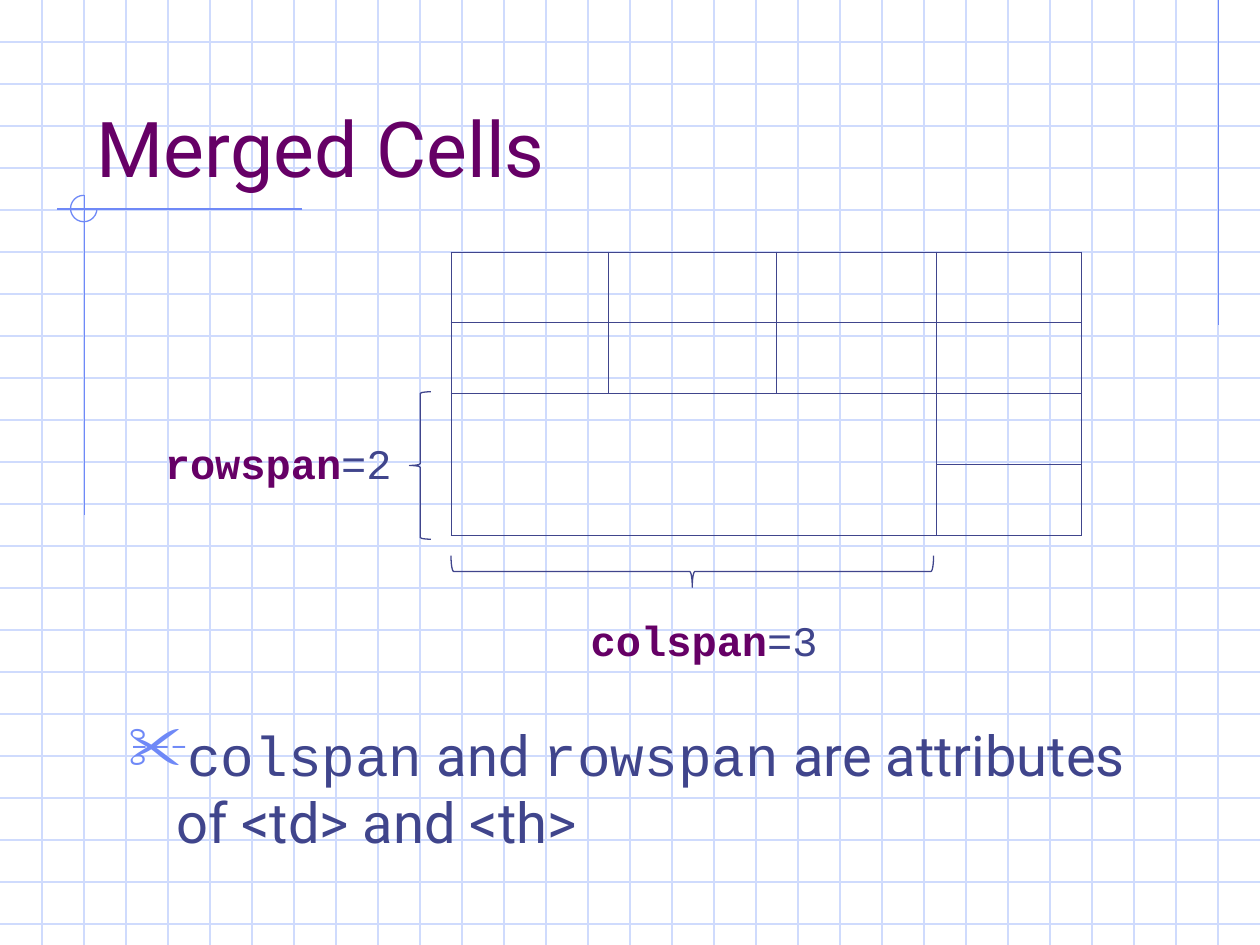
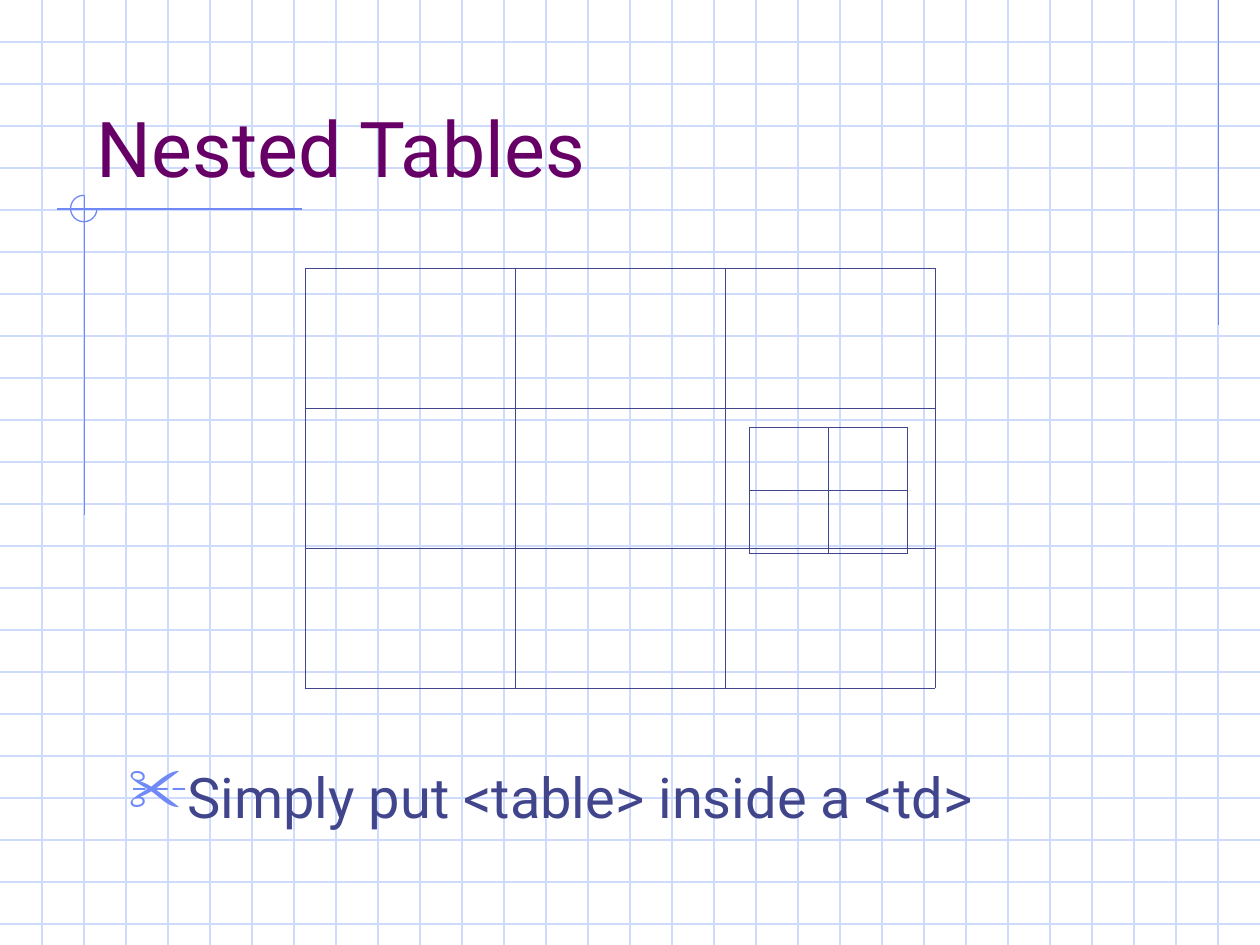
"""Build two slides on merged cells and nested tables."""
import pptx
import pptx.dml.color
import pptx.enum.shapes
import pptx.enum.text
import pptx.oxml.ns
import pptx.util
from lxml import etree

Inches = pptx.util.Inches
Pt = pptx.util.Pt
qn = pptx.oxml.ns.qn

WIDTH, HEIGHT = 10, 7.5
GRID_STEP = 1 / 3
GRID, ACCENT, INK, TITLE = "CFDBFD", "6F89F7", "40458C", "660066"
SANS, MONO = "Roboto", "Courier New"


def color(hex_code):
    """Turn a hex string into a colour."""
    return pptx.dml.color.RGBColor.from_string(hex_code)


def add_line(slide, start, end, hex_code):
    """Draw a thin straight line between two points."""
    points = [Inches(value) for value in (*start, *end)]
    line = slide.shapes.add_connector(pptx.enum.shapes.MSO_CONNECTOR.STRAIGHT, *points)
    line.line.color.rgb = color(hex_code)
    line.line.width = Pt(0.75)
    etree.SubElement(line._element.spPr, qn("a:effectLst"))


def add_outline(slide, preset, box, hex_code):
    """Add an unfilled preset shape with a thin outline."""
    shape = slide.shapes.add_shape(preset, *map(Inches, box))
    shape.shadow.inherit = False
    shape.fill.background()
    shape.line.color.rgb = color(hex_code)
    shape.line.width = Pt(0.75)
    return shape


def add_text(slide, box, runs, size, wrap=True):
    """Add a text box from (text, font, colour, bold) runs."""
    frame = slide.shapes.add_textbox(*map(Inches, box)).text_frame
    frame.word_wrap = wrap
    paragraph = frame.paragraphs[0]
    for text, font_name, hex_code, bold in runs:
        run = paragraph.add_run()
        run.text = text
        run.font.name = font_name
        run.font.size = Pt(size)
        run.font.bold = bold
        run.font.color.rgb = color(hex_code)
    return frame


def add_title(slide, text):
    """Add the slide title."""
    frame = add_text(slide, (0.67, 0.33, 8.5, 1.25), [(text, SANS, TITLE, False)], 44)
    frame.vertical_anchor = pptx.enum.text.MSO_ANCHOR.BOTTOM


def add_bullet(slide, top, height, parts):
    """Add a scissors bullet made of (text, font) parts."""
    runs = [(text, font_name, INK, False) for text, font_name in parts]
    paragraph = add_text(slide, (0.92, top, 8.5, height), runs, 32).paragraphs[0]
    paragraph.space_before = Pt(8)
    properties = paragraph._p.get_or_add_pPr()
    properties.set("marL", str(Inches(0.38)))
    properties.set("indent", str(Inches(-0.38)))
    bullet_color = etree.SubElement(properties, qn("a:buClr"))
    etree.SubElement(bullet_color, qn("a:srgbClr"), val=ACCENT)
    etree.SubElement(properties, qn("a:buSzPct"), val="110000")
    etree.SubElement(properties, qn("a:buChar"), char="✂")


def add_span_label(slide, left, top, attribute, value):
    """Add an attribute and its value as a code label."""
    runs = [(attribute, MONO, TITLE, True), (f"={value}", MONO, INK, False)]
    frame = add_text(slide, (left, top, 2, 0.5), runs, 24, wrap=False)
    frame.auto_size = pptx.enum.text.MSO_AUTO_SIZE.SHAPE_TO_FIT_TEXT


def style_cell(cell):
    """Give an empty cell thin borders, no fill and its text size."""
    properties = cell._tc.get_or_add_tcPr()
    for side in ("lnL", "lnR", "lnT", "lnB"):
        border = etree.SubElement(properties, qn(f"a:{side}"), w=str(Pt(0.45)))
        fill = etree.SubElement(border, qn("a:solidFill"))
        etree.SubElement(fill, qn("a:srgbClr"), val=INK)
    cell.fill.background()
    paragraph = cell.text_frame.paragraphs[0]._p
    end = etree.SubElement(paragraph, qn("a:endParaRPr"), sz=str(2400))
    etree.SubElement(end, qn("a:latin"), typeface=SANS)


def add_empty_table(slide, left, top, column_widths, row_heights):
    """Add a table of empty outlined cells."""
    box = (left, top, sum(column_widths), sum(row_heights))
    frame = slide.shapes.add_table(len(row_heights), len(column_widths), *map(Inches, box))
    table = frame.table
    table.first_row = False
    table.horz_banding = False
    for column, width in zip(table.columns, column_widths):
        column.width = Inches(width)
    for row, height in zip(table.rows, row_heights):
        row.height = Inches(height)
    for cell in table.iter_cells():
        style_cell(cell)
    return table


def add_backdrop(slide):
    """Draw the graph paper and the corner ornaments."""
    for index in range(1, int(HEIGHT / GRID_STEP) + 1):
        add_line(slide, (0, index * GRID_STEP), (WIDTH, index * GRID_STEP), GRID)
    for index in range(1, int(WIDTH / GRID_STEP)):
        add_line(slide, (index * GRID_STEP, 0), (index * GRID_STEP, HEIGHT), GRID)
    add_line(slide, (9.67, 0), (9.67, 2.58), ACCENT)
    add_line(slide, (2.4, 1.66), (0.45, 1.66), ACCENT)
    add_line(slide, (0.67, 1.55), (0.67, 4.09), ACCENT)
    arc = add_outline(slide, pptx.enum.shapes.MSO_SHAPE.ARC, (0.56, 1.55, 0.21, 0.21), ACCENT)
    arc.adjustments[0] = 0
    arc.adjustments[1] = 162


def new_slide(presentation, title):
    """Add a slide with the shared backdrop and a title."""
    slide = presentation.slides.add_slide(presentation.slide_layouts[6])
    slide.background.fill.solid()
    slide.background.fill.fore_color.rgb = color("FFFFFF")
    add_backdrop(slide)
    add_title(slide, title)
    return slide


def build_merged_cells(presentation):
    """Build the slide on rowspan and colspan."""
    slide = new_slide(presentation, "Merged Cells")
    add_bullet(slide, 5.67, 1.33, [
        ("colspan", MONO), (" and ", SANS), ("rowspan", MONO),
        (" are attributes of <td> and <th>", SANS),
    ])
    table = add_empty_table(slide, 3.58, 2, [1.25, 1.33, 1.27, 1.15], [2.25 / 4] * 4)
    table.cell(2, 0).merge(table.cell(3, 2))
    brace = pptx.enum.shapes.MSO_SHAPE.LEFT_BRACE
    add_outline(slide, brace, (3.25, 3.11, 0.17, 1.17), INK)
    add_span_label(slide, 1.21, 3.42, "rowspan", 2)
    column_brace = add_outline(slide, brace, (5.37, 2.62, 0.25, 3.83), INK)
    column_brace.rotation = 270
    add_span_label(slide, 4.59, 4.83, "colspan", 3)


def build_nested_tables(presentation):
    """Build the slide on a table inside a cell."""
    slide = new_slide(presentation, "Nested Tables")
    add_bullet(slide, 6, 0.83, [("Simply put <table> inside a <td>", SANS)])
    add_empty_table(slide, 2.42, 2.13, [5 / 3] * 3, [3.33 / 3] * 3)
    add_empty_table(slide, 5.95, 3.39, [1.25 / 2] * 2, [0.4] * 2)


def main():
    """Build and save the presentation."""
    presentation = pptx.Presentation()
    presentation.slide_width = Inches(WIDTH)
    presentation.slide_height = Inches(HEIGHT)
    build_merged_cells(presentation)
    build_nested_tables(presentation)
    presentation.save("out.pptx")


if __name__ == "__main__":
    main()
